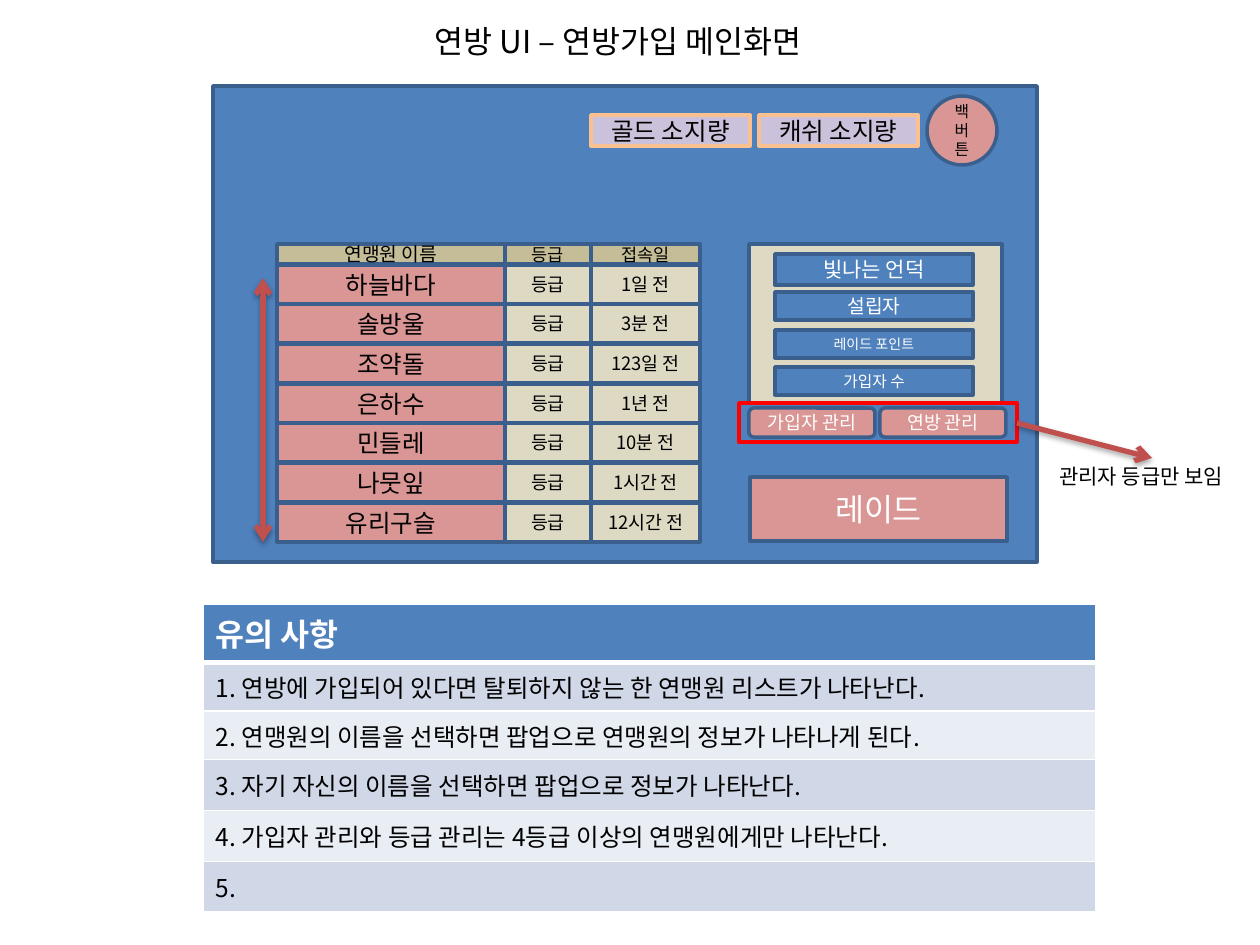
"""Build the federation main screen wireframe slide."""
from lxml.etree import Element, SubElement
from pptx import Presentation
from pptx.dml.color import RGBColor
from pptx.enum.shapes import MSO_CONNECTOR, MSO_SHAPE
from pptx.enum.text import MSO_ANCHOR, PP_ALIGN
from pptx.oxml.ns import qn
from pptx.util import Emu, Pt

PX = 914400 / 126
FONT = "Noto Sans CJK KR"
COLORS = {
    "blue": "4F81BD", "outline": "3A5F8C", "tan": "C4BD97", "beige": "DDD9C3",
    "pink": "D99694", "lilac": "CCC1DA", "peach": "FAC090", "red": "FF0000",
    "arrow": "C0504D", "band": "D0D8E8", "light_band": "E9EDF4",
    "black": "000000", "white": "FFFFFF",
}
COLORS = {name: RGBColor.from_string(value) for name, value in COLORS.items()}


def set_text(text_frame, text, size, color="black", align=PP_ALIGN.LEFT, bold=False):
    text_frame.text = text
    paragraph = text_frame.paragraphs[0]
    paragraph.alignment = align
    for run in paragraph.runs:
        run.font.size = Pt(size)
        run.font.bold = bold
        run.font.name = FONT
        run.font.color.rgb = COLORS[color]
        SubElement(run.font._element, qn("a:ea"), typeface=FONT)


def add_box(box, fill, text="", size=10.5, color="black", line="outline", kind=MSO_SHAPE.RECTANGLE):
    shape = slide.shapes.add_shape(kind, *[Emu(round(value * PX)) for value in box])
    shape.shadow.inherit = False
    if fill:
        shape.fill.solid()
        shape.fill.fore_color.rgb = COLORS[fill]
    else:
        shape.fill.background()
    shape.line.color.rgb = COLORS[line]
    shape.line.width = Pt(2)
    if text:
        shape.text_frame.vertical_anchor = MSO_ANCHOR.MIDDLE
        set_text(shape.text_frame, text, size, color, PP_ALIGN.CENTER)


presentation = Presentation()
presentation.slide_width = Emu(round(1260 * PX))
presentation.slide_height = Emu(round(945 * PX))
slide = presentation.slides.add_slide(presentation.slide_layouts[5])

title = slide.shapes.title
title.left, title.top, title.width, title.height = [Emu(round(value * PX)) for value in (422, 16, 436, 51)]
title.text_frame.word_wrap = False
title.text_frame.vertical_anchor = MSO_ANCHOR.TOP
set_text(title.text_frame, "연방 UI – 연방가입 메인화면", 18)

notes = ["유의 사항",
         "1. 연방에 가입되어 있다면 탈퇴하지 않는 한 연맹원 리스트가 나타난다.",
         "2. 연맹원의 이름을 선택하면 팝업으로 연맹원의 정보가 나타나게 된다.",
         "3. 자기 자신의 이름을 선택하면 팝업으로 정보가 나타난다.",
         "4. 가입자 관리와 등급 관리는 4등급 이상의 연맹원에게만 나타난다.",
         "5."]
row_heights = [57, 49, 48, 51, 51, 50]
table_box = [Emu(round(value * PX)) for value in (203, 604, 893, sum(row_heights))]
table = slide.shapes.add_table(len(notes), 1, *table_box).table
for index, (note, height) in enumerate(zip(notes, row_heights)):
    table.rows[index].height = Emu(round(height * PX))
    cell = table.cell(index, 0)
    cell.vertical_anchor = MSO_ANCHOR.MIDDLE
    cell.fill.solid()
    if index == 0:
        cell.fill.fore_color.rgb = COLORS["blue"]
        set_text(cell.text_frame, note, 18, "white", bold=True)
    else:
        cell.fill.fore_color.rgb = COLORS["band" if index % 2 else "light_band"]
        set_text(cell.text_frame, note, 14)

header_border = Element(qn("a:lnB"), w=str(Pt(3)))
border_fill = SubElement(header_border, qn("a:solidFill"))
SubElement(border_fill, qn("a:srgbClr"), val=str(COLORS["white"]))
table.cell(0, 0)._tc.get_or_add_tcPr().insert(0, header_border)

add_box((213, 86, 824, 476), "blue")
add_box((927, 96, 70, 69), "pink", "백버튼", 9, kind=MSO_SHAPE.OVAL)
for left, label in ((591, "골드 소지량"), (759, "캐쉬 소지량")):
    add_box((left, 115, 159, 31), "lilac", label, 14, line="peach")

members = [("하늘바다", "1일 전"), ("솔방울", "3분 전"), ("조약돌", "123일 전"),
           ("은하수", "1년 전"), ("민들레", "10분 전"), ("나뭇잎", "1시간 전"),
           ("유리구슬", "12시간 전")]
columns = [(277, 228, "연맹원 이름", 11), (505, 86, "등급", 10), (591, 109, "접속일", 10)]
for left, width, heading, size in columns:
    add_box((left, 244, width, 20), "tan", heading, size)
for index, (name, last_seen) in enumerate(members):
    top = 265 + index * 119 // 3
    cells = ((name, "pink", 14), ("등급", "beige", 10.5), (last_seen, "beige", 10.5))
    for (left, width, _, _), (text, fill, size) in zip(columns, cells):
        add_box((left, top, width, 39), fill, text, size)

add_box((749, 244, 253, 159), "beige")
details = [(254, 31, "빛나는 언덕", 12), (292, 28, "설립자", 11),
           (330, 28, "레이드 포인트", 8), (367, 28, "가입자 수", 9)]
for top, height, label, size in details:
    add_box((775, top, 198, height), "blue", label, size, "white")
for left, label in ((749, "가입자 관리"), (880, "연방 관리")):
    add_box((left, 408, 126, 29), "pink", label, 10.5, "white", kind=MSO_SHAPE.ROUNDED_RECTANGLE)
add_box((750, 477, 257, 64), "pink", "레이드", 18, "white")
add_box((739, 403, 278, 39), None, line="red")

arrows = [((263, 542, 263, 278), ("headEnd", "tailEnd")),
          ((1017, 423, 1152, 458), ("tailEnd",))]
for points, ends in arrows:
    connector = slide.shapes.add_connector(
        MSO_CONNECTOR.STRAIGHT, *[Emu(round(value * PX)) for value in points])
    connector.line.color.rgb = COLORS["arrow"]
    connector.line.width = Pt(3)
    line = connector.line._get_or_add_ln()
    for end in ends:
        SubElement(line, qn(f"a:{end}"), type="arrow")
    effects = SubElement(connector._element.spPr, qn("a:effectLst"))
    shadow = SubElement(effects, qn("a:outerShdw"), blurRad="40000", dist="23000",
                        dir="5400000", rotWithShape="0")
    shadow_color = SubElement(shadow, qn("a:srgbClr"), val="000000")
    SubElement(shadow_color, qn("a:alpha"), val="35000")

caption = slide.shapes.add_textbox(*[Emu(round(value * PX)) for value in (1047, 457, 210, 38)])
caption.text_frame.word_wrap = False
set_text(caption.text_frame, "관리자 등급만 보임", 12)

presentation.save("out.pptx")
